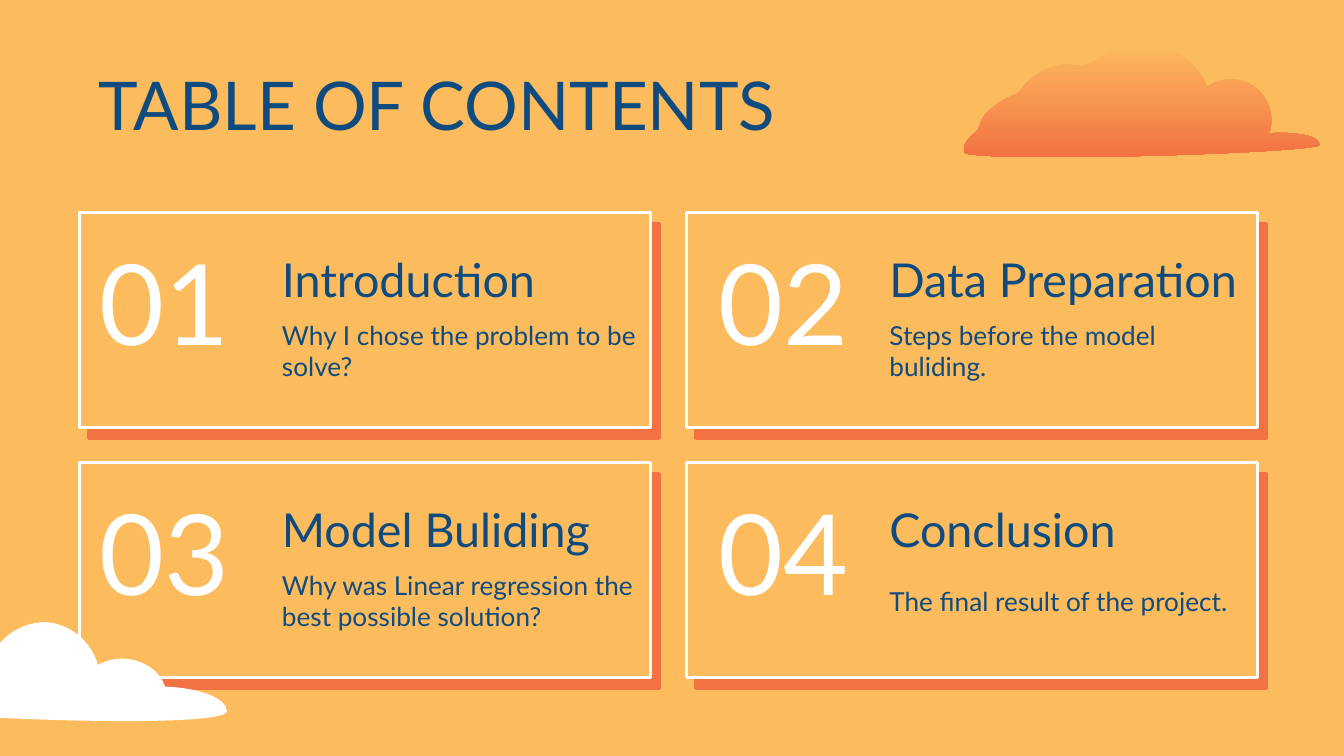
import lxml.etree
import pptx
import pptx.dml.color
import pptx.enum.shapes
import pptx.enum.text
import pptx.oxml
import pptx.oxml.ns
import pptx.util

Cm = pptx.util.Cm
Pt = pptx.util.Pt
qn = pptx.oxml.ns.qn
ANCHOR = pptx.enum.text.MSO_ANCHOR

SAND, CORAL, NAVY, WHITE = "FCBC5D", "F27243", "0F4B7E", "FFFFFF"

SUNSET_CLOUD = [
    (21.59, 0.81),
    (21.28, 0.81), (21.01, 0.91), (20.75, 1.12),
    (20.65, 1.19), (20.52, 1.24), (20.42, 1.24),
    (20.4, 1.24), (20.37, 1.24), (20.35, 1.24),
    (20.29, 1.22), (20.22, 1.22), (20.17, 1.22),
    (19.84, 1.22), (19.53, 1.4), (19.33, 1.65),
    (19.28, 1.73), (19.23, 1.78), (19.15, 1.8),
    (18.95, 1.88), (18.57, 2.11), (18.52, 2.36),
    (18.49, 2.44), (18.47, 2.49), (18.39, 2.54),
    (18.29, 2.62), (18.21, 2.72), (18.21, 2.87),
    (18.21, 2.95), (19, 2.97), (20.02, 2.97),
    (22, 2.97), (24.94, 2.84), (24.94, 2.74),
    (24.94, 2.57), (24.56, 2.51), (24.1, 2.51),
    (24.05, 2.51), (24.03, 2.51), (23.98, 2.54),
    (24.1, 2.21), (23.98, 1.85), (23.72, 1.65),
    (23.57, 1.55), (23.42, 1.5), (23.27, 1.5),
    (23.09, 1.5), (22.94, 1.55), (22.81, 1.65),
    (22.61, 1.12), (22.1, 0.81), (21.59, 0.81),
]
WHITE_CLOUD = [
    (-1.19, 13.13),
    (-1.19, 12.75), (-0.84, 12.45), (-0.41, 12.45),
    (-0.33, 12.45), (-0.25, 12.47), (-0.18, 12.47),
    (-0.03, 12.04), (0.41, 11.76), (0.86, 11.76),
    (1.32, 11.79), (1.73, 12.12), (1.85, 12.57),
    (1.98, 12.5), (2.13, 12.45), (2.29, 12.45),
    (2.69, 12.45), (3.02, 12.67), (3.12, 12.98),
    (3.78, 13), (4.29, 13.21), (4.29, 13.44),
    (4.29, 13.82), (-1.91, 13.54), (-1.91, 13.39),
    (-1.91, 13.26), (-1.6, 13.16), (-1.19, 13.13),
]
CHAPTERS = [
    ("Introduction", "Why I chose the problem to be solve?"),
    ("Data Preparation", "Steps before the model buliding."),
    ("Model Buliding", "Why was Linear regression the best possible solution?"),
    ("Conclusion", "The final result of the project."),
]


def color(hex_code):
    """Turn a hex string into an RGB colour."""
    return pptx.dml.color.RGBColor.from_string(hex_code)


class ContentsSlide:
    """Hold the style and the slide, and draw its elements."""

    def __init__(self, slide, font="Lato"):
        self.slide = slide
        self.font = font
        slide.background.fill.solid()
        slide.background.fill.fore_color.rgb = color(SAND)

    def text(self, words, left, top, width, height, size, ink=NAVY, anchor=ANCHOR.MIDDLE):
        """Add a wrapped line of text."""
        label = self.slide.shapes.add_textbox(Cm(left), Cm(top), Cm(width), Cm(height))
        frame = label.text_frame
        frame.word_wrap = True
        frame.vertical_anchor = anchor
        frame.margin_left = frame.margin_right = frame.margin_top = frame.margin_bottom = Cm(0.25)
        frame.text = words
        font = frame.paragraphs[0].runs[0].font
        font.name, font.size = self.font, Pt(size)
        font.color.rgb = color(ink)

    def card(self, left, top, width, height):
        """Add a white-edged card with a hard coral shadow."""
        panel = self.slide.shapes.add_shape(
            pptx.enum.shapes.MSO_SHAPE.RECTANGLE, Cm(left), Cm(top), Cm(width), Cm(height))
        panel.fill.solid()
        panel.fill.fore_color.rgb = color(SAND)
        panel.line.color.rgb = color(WHITE)
        panel.line.width = Pt(1.5)
        panel.shadow.inherit = False
        effects = panel.element.spPr.find(qn("a:effectLst"))
        shade = lxml.etree.SubElement(
            effects, qn("a:outerShdw"), blurRad="0", dist=str(Pt(7.5)),
            dir=str(50 * 60000), algn="bl", rotWithShape="0")
        lxml.etree.SubElement(shade, qn("a:srgbClr"), val=CORAL)

    def cloud(self, outline, *tints):
        """Add a curved cloud in one tint, or fading from the first tint down to the second."""
        start, *controls = [(Cm(x), Cm(y)) for x, y in outline]
        builder = self.slide.shapes.build_freeform(*start)
        builder.add_line_segments(controls, close=True)
        puff = builder.convert_to_shape()
        lines = list(puff.element.iter(qn("a:lnTo")))
        for first in range(0, len(lines), 3):
            curve = lxml.etree.Element(qn("a:cubicBezTo"))
            lines[first].addprevious(curve)
            for line in lines[first:first + 3]:
                curve.append(line[0])
                line.getparent().remove(line)
        puff.shadow.inherit = False
        puff.line.fill.background()
        if len(tints) == 1:
            puff.fill.solid()
            puff.fill.fore_color.rgb = color(tints[0])
        else:
            puff.fill.gradient()
            puff.fill.gradient_angle = 270
            for stop, tint in zip(puff.fill.gradient_stops, tints):
                stop.color.rgb = color(tint)


def main():
    """Build the table of contents and save it."""
    deck = pptx.Presentation()
    deck.slide_width, deck.slide_height = Cm(25.4), Cm(14.29)
    contents = ContentsSlide(deck.slides.add_slide(deck.slide_layouts[6]))

    contents.cloud(SUNSET_CLOUD, SAND, CORAL)
    contents.text("TABLE OF CONTENTS", 1.62, 0.93, 21.41, 2.06, 36)
    for index, (heading, summary) in enumerate(CHAPTERS):
        row, column = divmod(index, 2)
        left, top = 1.5 + 11.48 * column, 4.02 + 4.73 * row
        contents.card(left, top, 10.79, 4.06)
        contents.text(heading, left + 3.58, top + 0.52, 7.24, 1.47, 25)
        contents.text(summary, left + 3.58, top + 1.93, 7.24, 1.35, 14)
        contents.text(f"{index + 1:02}", 1.63 + 11.7 * column, top + 0.14, 3.18, 3.84, 60,
                      WHITE, ANCHOR.TOP)
    contents.cloud(WHITE_CLOUD, WHITE)
    deck.save("out.pptx")


if __name__ == "__main__":
    main()
